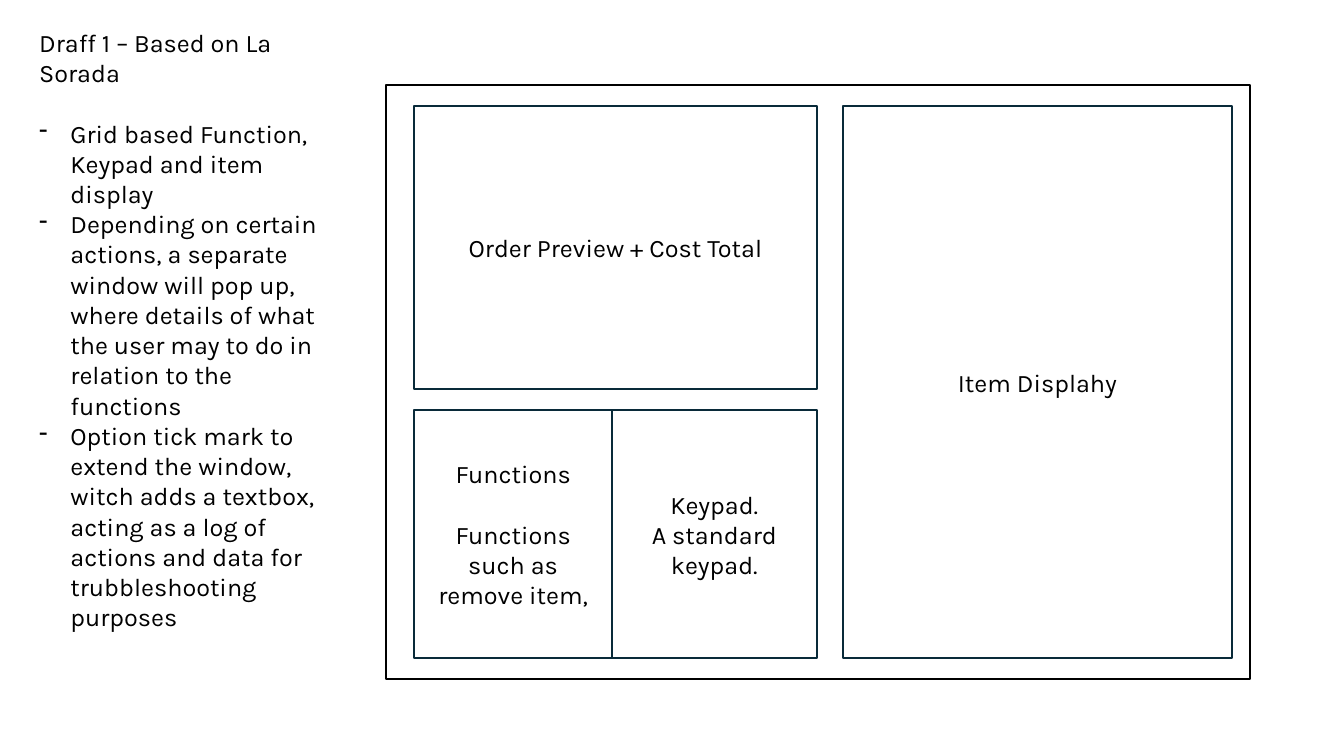
from dataclasses import dataclass

from lxml import etree
from pptx import Presentation
from pptx.dml.color import RGBColor
from pptx.enum.shapes import MSO_SHAPE
from pptx.enum.text import MSO_ANCHOR, PP_ALIGN
from pptx.oxml.ns import qn
from pptx.util import Inches, Pt

RECT = MSO_SHAPE.RECTANGLE
MIDDLE, TOP = MSO_ANCHOR.MIDDLE, MSO_ANCHOR.TOP
CENTER, LEFT = PP_ALIGN.CENTER, PP_ALIGN.LEFT


@dataclass(frozen=True)
class Theme:
    font: str = "Karla"
    size: Pt = Pt(18)
    gap: Pt = Pt(21.6)
    line: Pt = Pt(1.5)
    ink: RGBColor = RGBColor(0x00, 0x00, 0x00)
    panel: RGBColor = RGBColor(0x09, 0x2A, 0x39)


THEME = Theme()

HEADING = "Draff 1 – Based on La Sorada"
NOTES = [
    "Grid based Function, Keypad and item display",
    "Depending on certain actions, a separate window will pop up, where details "
    "of what the user may to do in relation to the functions",
    "Option tick mark to extend the window, witch adds a textbox, acting as a log "
    "of actions and data for trubbleshooting purposes",
]
ITEMS = ["Item Displahy"]
FUNCTIONS = ["Functions", "Functions such as remove item,"]
KEYPAD = ["Keypad.\vA standard keypad."]
ORDER = ["Order Preview + Cost Total"]

NOTES_BOX = (0.29, 0.22, 3.08, 6.46)
WINDOW_BOX = (3.83, 0.84, 8.57, 5.9)
INDENT = 0.31

LEFT_X, SPLIT_X, LEFT_END = 4.11, 6.07, 8.1
ITEMS_X, ITEMS_END = 8.36, 12.22
TOP_Y, TOP_END, LOWER_Y, BOTTOM = 1.05, 3.86, 4.07, 6.53

PANELS = [
    (ITEMS, ITEMS_X, TOP_Y, ITEMS_END, BOTTOM),
    (FUNCTIONS, LEFT_X, LOWER_Y, SPLIT_X, BOTTOM),
    (KEYPAD, SPLIT_X, LOWER_Y, LEFT_END, BOTTOM),
    (ORDER, LEFT_X, TOP_Y, LEFT_END, TOP_END),
]


def add_bullet(p):
    pPr = p._p.get_or_add_pPr()
    pPr.set("marL", str(Inches(INDENT)))
    pPr.set("indent", str(-Inches(INDENT)))
    etree.SubElement(pPr, qn("a:buChar")).set("char", "-")


def write(tf, lines, align, anchor, bulleted=False):
    tf.word_wrap = True
    tf.vertical_anchor = anchor
    tf.text = "\n".join(lines)
    for i, p in enumerate(tf.paragraphs):
        p.alignment = align
        if i == 1:
            p.space_before = THEME.gap
        if bulleted and i:
            add_bullet(p)
        for r in p.runs:
            r.font.name = THEME.font
            r.font.size = THEME.size
            r.font.color.rgb = THEME.ink


def add_outline(s, box, color):
    sp = s.shapes.add_shape(RECT, *map(Inches, box))
    sp.shadow.inherit = False
    sp.fill.background()
    sp.line.color.rgb = color
    sp.line.width = THEME.line
    return sp


def main():
    prs = Presentation()
    prs.slide_width, prs.slide_height = Inches(13.33), Inches(7.5)
    s = prs.slides.add_slide(prs.slide_layouts[6])

    add_outline(s, WINDOW_BOX, THEME.ink)
    notes = s.shapes.add_textbox(*map(Inches, NOTES_BOX))
    write(notes.text_frame, [HEADING, *NOTES], LEFT, TOP, bulleted=True)

    for lines, x, y, right, bottom in PANELS:
        sp = add_outline(s, (x, y, right - x, bottom - y), THEME.panel)
        write(sp.text_frame, lines, CENTER, MIDDLE)

    prs.save("out.pptx")


if __name__ == "__main__":
    main()
